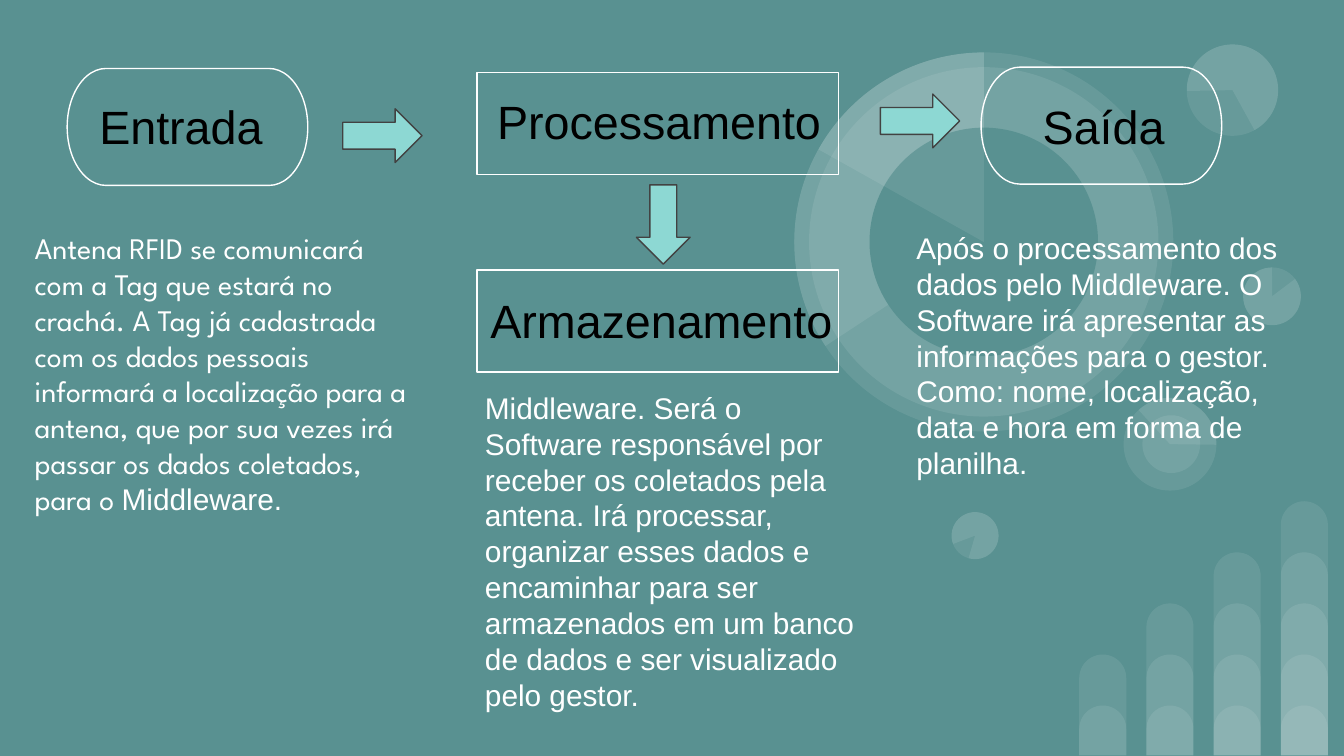
from dataclasses import dataclass

from lxml import etree
from pptx import Presentation
from pptx.dml.color import RGBColor
from pptx.enum.shapes import MSO_SHAPE
from pptx.enum.text import MSO_ANCHOR, PP_ALIGN
from pptx.oxml.ns import qn
from pptx.util import Inches, Pt

BAR = MSO_SHAPE.ROUND_2_SAME_RECTANGLE
DISC = MSO_SHAPE.OVAL
PIE = MSO_SHAPE.PIE
ARROW = MSO_SHAPE.RIGHT_ARROW
TERMINATOR = MSO_SHAPE.FLOWCHART_TERMINATOR
PROCESS = MSO_SHAPE.FLOWCHART_PROCESS
TOP = MSO_ANCHOR.TOP
LEFT = PP_ALIGN.LEFT


@dataclass(frozen=True)
class Theme:
    """Colours, fonts and sizes of the slide."""
    background: str = "599191"
    white: str = "FFFFFF"
    black: str = "000000"
    arrow: str = "8DD8D3"
    arrow_line: str = "424242"
    veil: int = 9
    line: float = 0.75
    title: int = 25
    body: int = 16
    leading: float = 1.2
    font: str = "Arial"
    accent_font: str = "League Spartan"


THEME = Theme()


def add_figure(slide, kind, box, fill=None, line=None, alpha=None, rotation=0, adjust=()):
    """Add a preset shape with the given fill, outline and adjustments."""
    figure = slide.shapes.add_shape(kind, *map(Inches, box))
    figure.shadow.inherit = False
    figure.rotation = rotation
    for index, value in enumerate(adjust):
        figure.adjustments[index] = value
    if fill:
        figure.fill.solid()
        figure.fill.fore_color.rgb = RGBColor.from_string(fill)
    else:
        figure.fill.background()
    if line:
        figure.line.color.rgb = RGBColor.from_string(line)
        figure.line.width = Pt(THEME.line)
    else:
        figure.line.fill.background()
    if alpha:
        color = figure.element.spPr.find(qn("a:solidFill")).find(qn("a:srgbClr"))
        etree.SubElement(color, qn("a:alpha"), val=str(alpha * 1000))


def add_veil(slide, kind, box, rotation=0, adjust=()):
    """Add a faint white decoration."""
    add_figure(slide, kind, box, THEME.white, None, THEME.veil, rotation, adjust)


def add_text(slide, box, paragraphs, size, color):
    """Add a text box from paragraphs of (text, font) runs."""
    frame = slide.shapes.add_textbox(*map(Inches, box)).text_frame
    frame.word_wrap = True
    frame.vertical_anchor = TOP
    frame.margin_left = frame.margin_right = Inches(0.1)
    frame.margin_top = frame.margin_bottom = Inches(0.1)
    for index, runs in enumerate(paragraphs):
        paragraph = frame.paragraphs[0] if index == 0 else frame.add_paragraph()
        paragraph.alignment = LEFT
        paragraph.line_spacing = Pt(size * THEME.leading)
        for text, font in runs:
            run = paragraph.add_run()
            run.text = text
            run.font.name = font
            run.font.size = Pt(size)
            run.font.color.rgb = RGBColor.from_string(color)


def add_bars(slide, box):
    """Draw rising columns of overlapping rounded bars."""
    left, top, width, height = box
    bottom, step, shortest, columns = top + height, 0.38, 0.37, 4
    bar_width = 0.35
    pitch = (width - bar_width) / (columns - 1)
    for column in range(columns):
        for level in range(column + 2):
            tall = shortest + step * level
            add_veil(slide, BAR, (left + pitch * column, bottom - tall, bar_width, tall),
                     adjust=(0.5, 0))


def add_disc(slide, box, rotation, wedge):
    """Draw a faint disc with a pie wedge over it."""
    add_veil(slide, DISC, box, rotation)
    add_veil(slide, PIE, box, rotation, wedge)


def add_ring(slide, box):
    """Draw the large ring chart with its two sectors."""
    left, top, size, _ = box

    def inset(gap):
        """Return the box shrunk by a gap on every side."""
        return left + gap, top + gap, size - 2 * gap, size - 2 * gap

    add_veil(slide, DISC, box)
    add_veil(slide, DISC, inset(0.11))
    add_veil(slide, PIE, box, adjust=(88.01, 162))
    add_figure(slide, DISC, inset(0.56), THEME.background)
    add_veil(slide, PIE, box, adjust=(125.54, 162))


def add_decoration(slide):
    """Place the faint charts behind the flow."""
    add_bars(slide, (8.03, 3.73, 1.85, 1.89))
    discs = [
        ((9.25, 1.99, 0.43, 0.43), 0, (193.77, 162)),
        ((7.08, 3.81, 0.35, 0.35), 196.2, (193.77, 162)),
        ((8.36, 2.96, 0.69, 0.69), 90, (82.45, 162.46)),
        ((8.83, 0.33, 0.68, 0.68), 215.9, (193.77, 123.14)),
    ]
    for disc in discs:
        add_disc(slide, *disc)
    add_veil(slide, DISC, (8.5, 3.09, 0.43, 0.43))
    add_ring(slide, (5.91, 0.39, 2.82, 2.82))


def add_step(slide, kind, box, title, offset, title_width):
    """Draw an outlined step with its title."""
    left, top = box[:2]
    title_box = (left + offset[0], top + offset[1], title_width, 0.62)
    add_text(slide, title_box, [[(title, THEME.font)]], THEME.title, THEME.black)
    add_figure(slide, kind, box, line=THEME.white)


def add_flow(slide):
    """Place the four steps and the arrows between them."""
    steps = [
        (TERMINATOR, (0.5, 0.51, 1.79, 0.87), "Entrada ", (0.14, 0.12), 1.49),
        (PROCESS, (3.55, 0.54, 2.69, 0.76), "Processamento", (0.05, 0.05), 2.81),
        (PROCESS, (3.55, 2.01, 2.69, 0.76), "Armazenamento", (0, 0.06), 2.81),
        (TERMINATOR, (7.3, 0.5, 1.79, 0.87), "Saída", (0.36, 0.13), 1.49),
    ]
    for step in steps:
        add_step(slide, *step)
    for left, top, rotation in [(2.55, 0.81, 0), (6.55, 0.7, 0), (4.64, 1.47, 90)]:
        add_figure(slide, ARROW, (left, top, 0.59, 0.4), THEME.arrow, THEME.arrow_line,
                   rotation=rotation, adjust=(0.5, 0.5))


def add_descriptions(slide):
    """Place the explanation below each step."""
    entrada = [[
        ("Antena RFID se comunicará com a Tag que estará no crachá. A Tag já cadastrada "
         "com os dados pessoais informará a localização para a antena, que por sua vezes "
         "irá passar os dados coletados, para o ", THEME.accent_font),
        ("Middleware.", THEME.font),
    ]]
    armazenamento = [[
        ("Middleware. Será o Software responsável por receber os coletados pela antena. "
         "Irá processar, organizar esses dados e encaminhar para ser armazenados em um "
         "banco de dados e ser visualizado pelo gestor.", THEME.font),
    ]]
    saida = [
        [("Após o processamento dos dados pelo Middleware. O Software irá apresentar as "
          "informações para o gestor.", THEME.font)],
        [("Como: nome, localização, data e hora em forma de planilha. ", THEME.font)],
    ]
    for left, top, height, paragraphs in [(0.16, 1.61, 2.63, entrada),
                                          (3.51, 2.8, 2.63, armazenamento),
                                          (6.72, 1.61, 2.09, saida)]:
        add_text(slide, (left, top, 2.99, height), paragraphs, THEME.body, THEME.white)


def build():
    """Build and save the presentation."""
    deck = Presentation()
    deck.slide_width = Inches(10)
    deck.slide_height = deck.slide_width * 9 // 16
    slide = deck.slides.add_slide(deck.slide_layouts[6])
    slide.background.fill.solid()
    slide.background.fill.fore_color.rgb = RGBColor.from_string(THEME.background)
    add_decoration(slide)
    add_flow(slide)
    add_descriptions(slide)
    deck.save("out.pptx")


build()
